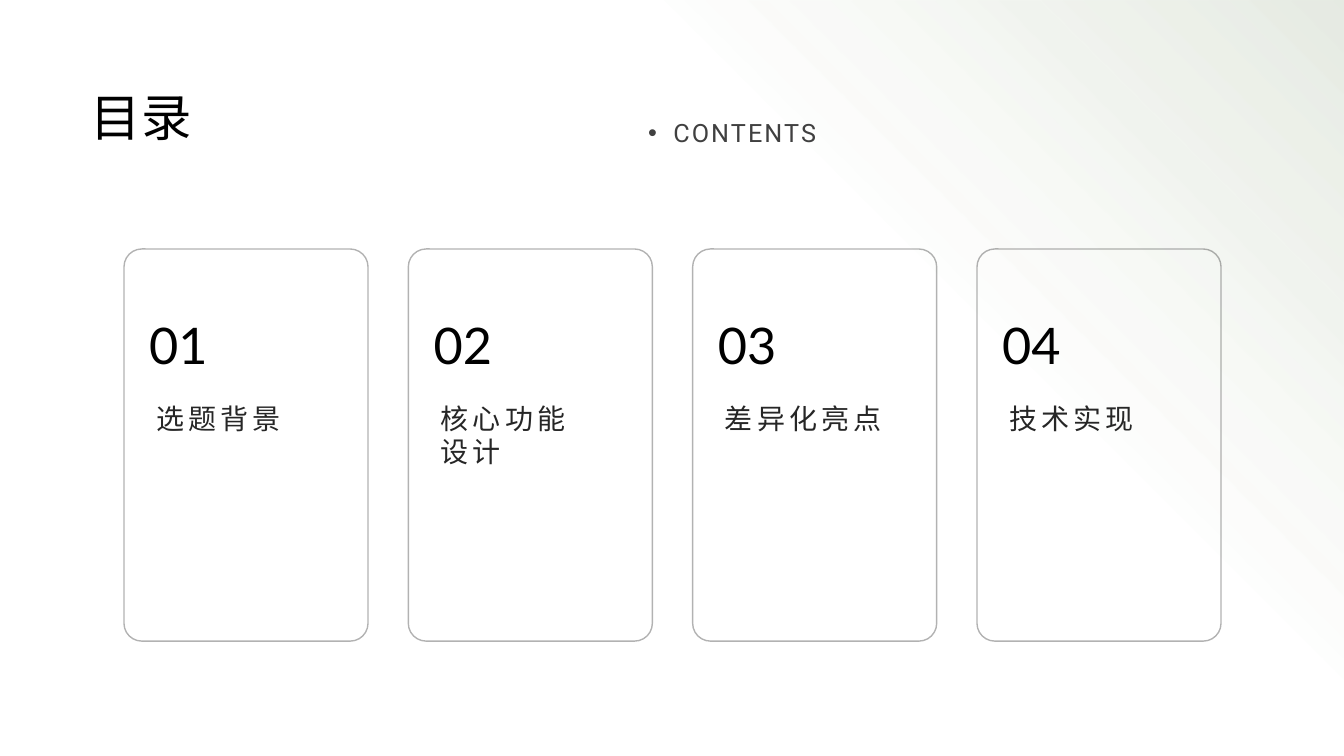
from lxml import etree
from pptx import Presentation, util as u
from pptx.dml.color import RGBColor
from pptx.enum import shapes, text
from pptx.oxml import parse_xml
from pptx.oxml.ns import nsdecls, qn

# Content
TITLE = "目录"
SUBTITLE = "CONTENTS"
CHAPTERS = ["选题背景", "核心功能\n设计", "差异化亮点", "技术实现"]

# Layout in inches
WIDTH, HEIGHT = 13.33, 7.5
GLOW_LEFT = 6.21
CARD_LEFT, CARD_TOP, CARD_W, CARD_H = 1.23, 2.47, 2.42, 3.89
CARD_STEP = 2.82
BLACK, DARK, GREY = "000000", "262626", "404040"
GLOW_STOPS = [(0, "3F6128", 13), (47, "548235", 0), (100, "548235", 0)]


def rgb(value):
    return RGBColor.from_string(value)


def box(left, top, width, height):
    return [u.Inches(n) for n in (left, top, width, height)]


def write(sp, content, size, color=BLACK, font="Lato", spacing=0,
          anchor=text.MSO_ANCHOR.TOP, insets=(0, 0)):
    tf = sp.text_frame
    tf.word_wrap = True
    tf.auto_size = text.MSO_AUTO_SIZE.NONE
    tf.vertical_anchor = anchor
    tf.margin_left = tf.margin_right = u.Inches(insets[0])
    tf.margin_top = tf.margin_bottom = u.Inches(insets[1])
    tf.text = content
    for p in tf.paragraphs:
        p.alignment = text.PP_ALIGN.LEFT
        for r in p.runs:
            r.font.size, r.font.name = u.Pt(size), font
            r.font.color.rgb = rgb(color)
            if spacing:
                r.font._element.set("spc", str(int(spacing * 100)))
    return tf


def add_text(place, content, size, **fmt):
    return write(slide.shapes.add_textbox(*place), content, size, **fmt)


prs = Presentation()
prs.slide_width, prs.slide_height = u.Inches(WIDTH), u.Inches(HEIGHT)
slide = prs.slides.add_slide(prs.slide_layouts[5])

# Title
title = slide.shapes.title
title.left, title.top, title.width, title.height = box(0.9, 0.8, 11.21, 0.71)
write(title, TITLE, 36, anchor=text.MSO_ANCHOR.MIDDLE)

# Soft green glow from the top right corner, behind the title
glow = slide.shapes.add_shape(shapes.MSO_SHAPE.RECTANGLE,
                              *box(GLOW_LEFT, 0, WIDTH - GLOW_LEFT, HEIGHT))
glow.shadow.inherit = False
glow.line.fill.background()
stops = "".join(
    f'<a:gs pos="{pos * 1000}"><a:srgbClr val="{color}">'
    f'<a:alpha val="{alpha * 1000}"/></a:srgbClr></a:gs>'
    for pos, color, alpha in GLOW_STOPS)
glow._element.spPr.find(qn("a:prstGeom")).addnext(parse_xml(
    f'<a:gradFill {nsdecls("a")} rotWithShape="1"><a:gsLst>{stops}</a:gsLst>'
    '<a:path path="circle"><a:fillToRect l="100000" b="100000"/></a:path>'
    '</a:gradFill>'))
title._element.addprevious(glow._element)

# Bulleted subtitle
tf = add_text(box(6.33, 1.15, 3.04, 0.71), SUBTITLE, 18, color=GREY,
              font="Roboto", spacing=1.5, insets=(0.1, 0.05))
p = tf.paragraphs[0]
p.line_spacing, p.space_before = 0.9, u.Pt(10)
pPr = p._p.get_or_add_pPr()
pPr.set("marL", str(u.Inches(0.25)))
pPr.set("indent", str(u.Inches(-0.25)))
etree.SubElement(pPr, qn("a:buFont")).set("typeface", "Arial")
etree.SubElement(pPr, qn("a:buChar")).set("char", "•")

# Chapter cards
for i, chapter in enumerate(CHAPTERS):
    left = CARD_LEFT + i * CARD_STEP
    card = slide.shapes.add_shape(shapes.MSO_SHAPE.ROUNDED_RECTANGLE,
                                  *box(left, CARD_TOP, CARD_W, CARD_H))
    card.adjustments[0] = 0.073
    card.shadow.inherit = False
    card.fill.background()
    card.line.width = u.Pt(1)
    card.line.color.rgb = rgb(BLACK)
    ink = card.line._ln.find(".//" + qn("a:srgbClr"))
    etree.SubElement(ink, qn("a:alpha")).set("val", "30000")

    add_text(box(left + 0.25, 3.05, 2.08, 0.74), f"{i + 1:02}", 36,
             anchor=text.MSO_ANCHOR.MIDDLE)
    add_text(box(left + 0.32, 3.98, 1.74, 1.85), chapter, 20,
             color=DARK, spacing=3)

prs.save("out.pptx")
